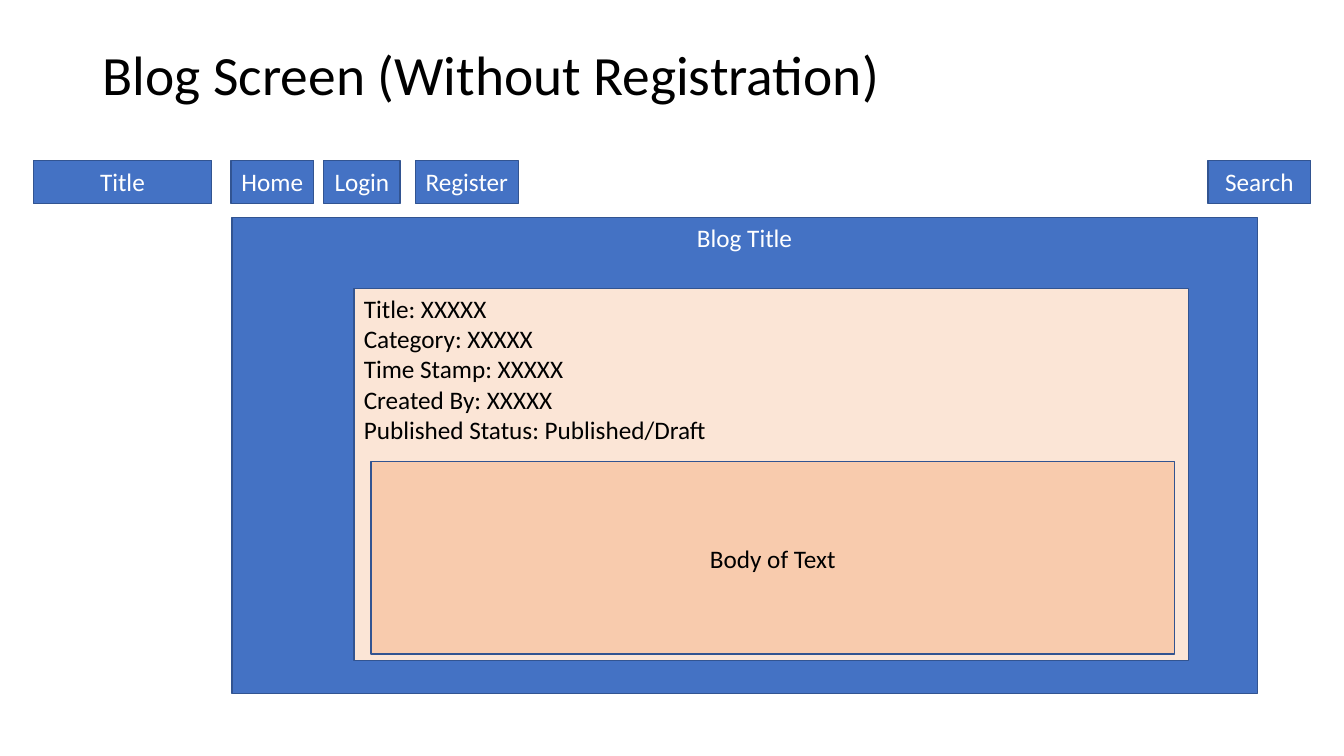
from pptx import Presentation
from pptx.dml.color import RGBColor
from pptx.enum.shapes import MSO_SHAPE
from pptx.enum.text import MSO_ANCHOR, PP_ALIGN
from pptx.util import Inches, Pt

RECT = MSO_SHAPE.RECTANGLE
TOP, MIDDLE = MSO_ANCHOR.TOP, MSO_ANCHOR.MIDDLE
LEFT, CENTER = PP_ALIGN.LEFT, PP_ALIGN.CENTER
BLUE, EDGE, PALE, PEACH = "4472C4", "325491", "FBE5D6", "F8CBAD"
WHITE, BLACK = "FFFFFF", "000000"
BUTTON_TOP, BUTTON_HEIGHT = 1.59, 0.43


def style(p, size, color, align):
    p.alignment = align
    p.font.name = "Calibri"
    p.font.size = Pt(size)
    p.font.color.rgb = RGBColor.from_string(color)


def add_box(box, text, fill=BLUE, color=WHITE, align=CENTER, anchor=MIDDLE):
    sp = s.shapes.add_shape(RECT, *map(Inches, box))
    sp.shadow.inherit = False
    sp.fill.solid()
    sp.fill.fore_color.rgb = RGBColor.from_string(fill)
    sp.line.color.rgb = RGBColor.from_string(EDGE)
    sp.line.width = Pt(1)
    tf = sp.text_frame
    tf.word_wrap = True
    tf.vertical_anchor = anchor
    tf.text = text
    for p in tf.paragraphs:
        style(p, 18, color, align)


prs = Presentation()
prs.slide_width, prs.slide_height = Inches(13.33), Inches(7.5)
s = prs.slides.add_slide(prs.slide_layouts.get_by_name("Title Only"))

title = s.shapes.title
title.left, title.top, title.width, title.height = map(Inches, (0.92, 0.4, 11.5, 0.73))
tf = title.text_frame
tf.text = "Blog Screen (Without Registration)"
tf.vertical_anchor = MIDDLE
p = tf.paragraphs[0]
style(p, 39.6, BLACK, LEFT)
p.line_spacing = 0.9

# Navigation bar
for label, left, width in [
    ("Title", 0.33, 1.77),
    ("Home", 2.29, 0.82),
    ("Login", 3.21, 0.76),
    ("Register", 4.12, 1.02),
    ("Search", 11.98, 1.02),
]:
    add_box((left, BUTTON_TOP, width, BUTTON_HEIGHT), label)

# Blog panel, post card and post body
add_box((2.3, 2.16, 10.17, 4.72), "Blog Title", anchor=TOP)
post_fields = [
    "Title: XXXXX",
    "Category: XXXXX",
    "Time Stamp: XXXXX",
    "Created By: XXXXX",
    "Published Status: Published/Draft",
]
add_box((3.51, 2.86, 8.28, 3.69), "\n".join(post_fields), PALE, BLACK, LEFT, TOP)
add_box((3.68, 4.58, 7.97, 1.91), "Body of Text", PEACH, BLACK)

prs.save("out.pptx")
